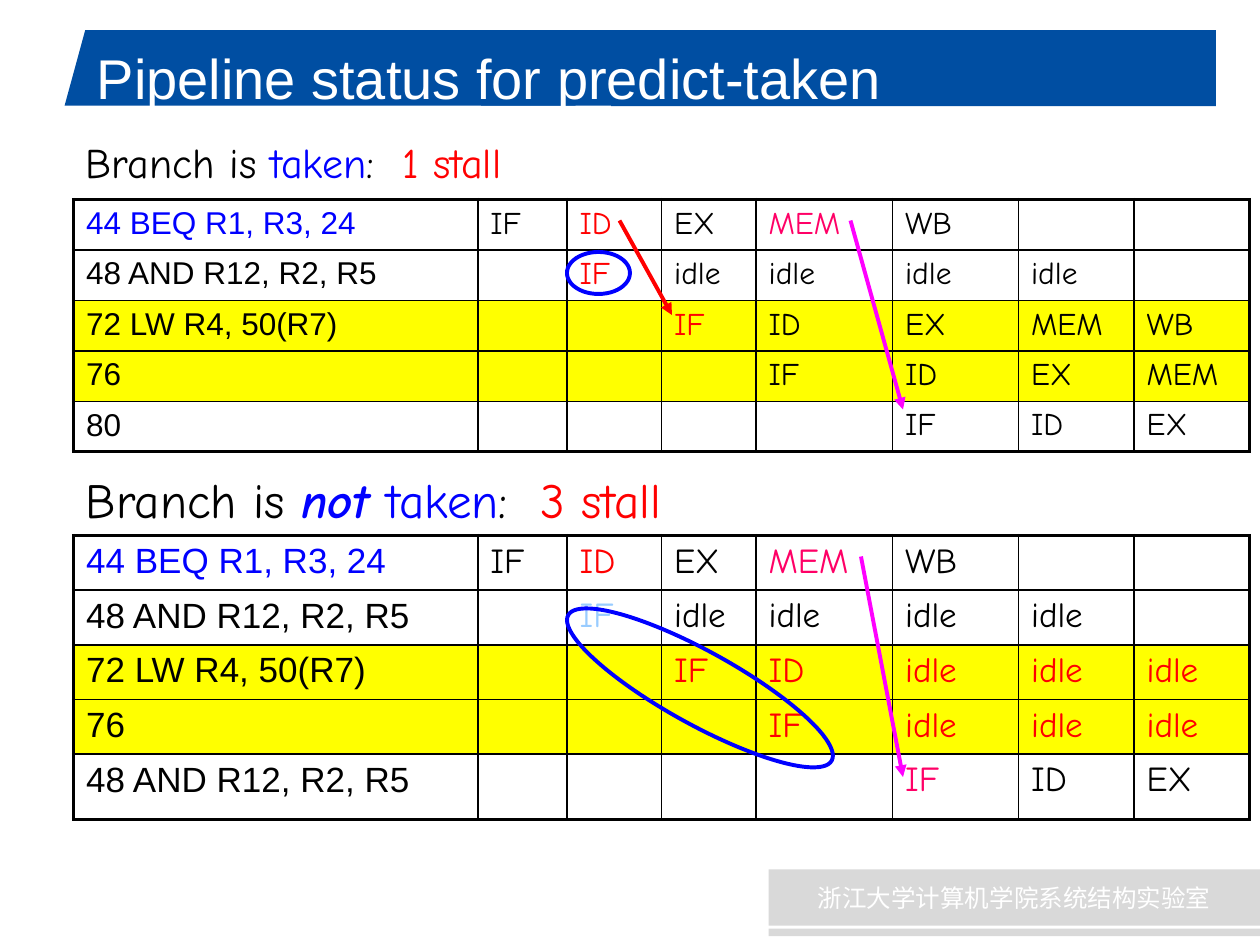
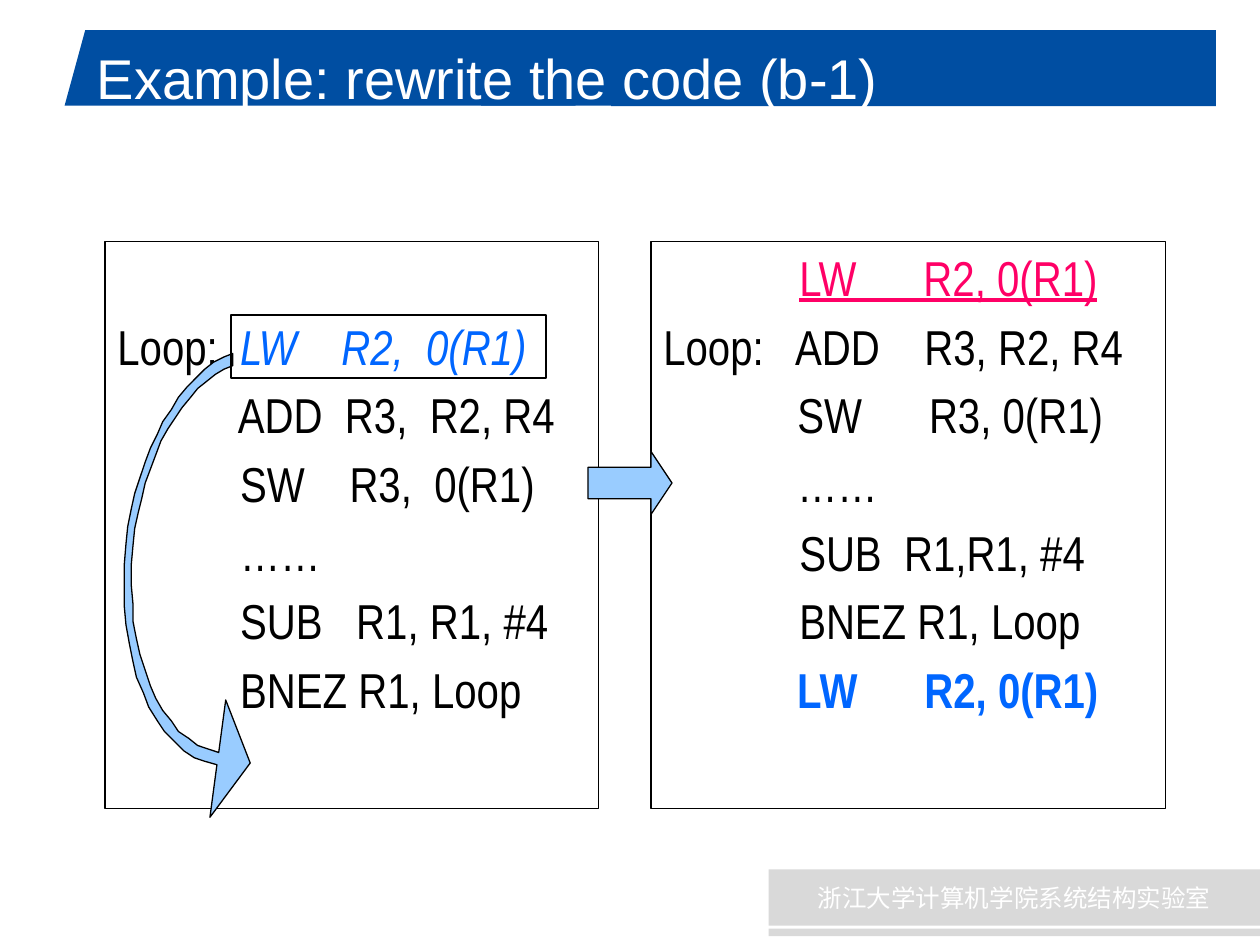
from lxml import etree
from pptx import Presentation
from pptx.dml.color import RGBColor
from pptx.enum.shapes import MSO_CONNECTOR, MSO_SHAPE
from pptx.enum.text import MSO_ANCHOR, PP_ALIGN
from pptx.oxml.ns import qn
from pptx.util import Pt

RECT, TRAPEZOID = MSO_SHAPE.RECTANGLE, MSO_SHAPE.TRAPEZOID
ELLIPSE, RIGHT_ARROW = MSO_SHAPE.OVAL, MSO_SHAPE.RIGHT_ARROW
STRAIGHT = MSO_CONNECTOR.STRAIGHT
MIDDLE, CENTER = MSO_ANCHOR.MIDDLE, PP_ALIGN.CENTER

SANS, NARROW, COMIC, CJK = "Arial", "Arial Narrow", "Comic Neue", "Noto Sans CJK SC"
BLACK, WHITE, BAND, GREY = "000000", "FFFFFF", "004EA2", "D9D9D9"
BLUE, RED, PINK, MAGENTA = "0000FF", "FF0000", "FF0066", "FF00FF"
YELLOW, SKY, CODE_BLUE = "FFFF00", "99CCFF", "0066FF"
STAGE_COLORS = {"": BLACK, "red": RED, "pink": PINK, "sky": SKY}

STAGE_COLUMNS = [231, 51, 54, 54, 78, 72, 66, 66]
YELLOW_ROWS = (2, 3)
BRANCH_ROWS = [("44 BEQ R1, R3, 24", "IF ID:red EX MEM:pink WB - -")]
TAKEN_ROWS = BRANCH_ROWS + [
    ("48 AND R12, R2, R5", "- IF:red idle idle idle idle -"),
    ("72 LW R4, 50(R7)", "- - IF:red ID EX MEM WB"),
    ("76", "- - - IF ID EX MEM"),
    ("80", "- - - - IF ID EX"),
]
NOT_TAKEN_ROWS = BRANCH_ROWS + [
    ("48 AND R12, R2, R5", "- IF:sky idle idle idle idle -"),
    ("72 LW R4, 50(R7)", "- - IF:red ID:red idle:red idle:red idle:red"),
    ("76", "- - - IF:red idle:red idle:red idle:red"),
    ("48 AND R12, R2, R5", "- - - - IF:pink ID EX"),
]

CODE_LINE = 39.1
LOOP_CODE = [
    [("Loop:  ", {}), ("LW    R2,  0(R1)", {"color": CODE_BLUE, "italic": True})],
    [("           ADD  R3,  R2, R4", {})],
    [("           SW    R3,  0(R1)", {})],
    [("           ……", {})],
    [("           SUB   R1, R1, #4", {})],
    [("           BNEZ R1, Loop", {})],
]
WIDE_INDENT = ("          ", {"font": SANS})
REWRITTEN_CODE = [
    [WIDE_INDENT, ("LW      R2, 0(R1)", {"color": PINK, "underline": True})],
    [("Loop:   ADD    R3, R2, R4", {})],
    [("            SW      R3, 0(R1)", {})],
    [("            ……", {})],
    [WIDE_INDENT, ("SUB  R1,R1, #4", {})],
    [WIDE_INDENT, ("BNEZ R1, Loop", {})],
    [("            ", {}), ("LW      R2, 0(R1)", {"color": CODE_BLUE, "bold": True})],
]

# Outline of the bent arrow: one point is a corner, three are a Bézier segment.
BENT_ARROW_START = (125.3, 429.8)
BENT_ARROW = [
    [(91.4, 424.8), (69.8, 372.2), (76.3, 311.8)],
    [(81.4, 261.4), (105.1, 219.6), (133.2, 208.8)],
    [(133.2, 201.6)],
    [(103, 213.1), (77.8, 257.8), (72, 311)],
    [(64.8, 375.8), (87.8, 431.3), (123.8, 437)],
    [(120.2, 466.6)], [(143.3, 436.3)], [(128.9, 400.3)],
]


def rgb(color):
    return RGBColor.from_string(color)


def style(run, size, font=SANS, color=BLACK, bold=False, italic=False, underline=False):
    run.font.size, run.font.name = Pt(size), font
    run.font.bold, run.font.italic, run.font.underline = bold, italic, underline
    run.font.color.rgb = rgb(color)


def write_runs(paragraph, pieces, size, font):
    """Add (text, style overrides) pieces as runs."""
    for text, overrides in pieces:
        run = paragraph.add_run()
        run.text = text
        style(run, size, **{"font": font, **overrides})


def paint(shape, fill=None, line=None, width=0.75):
    shape.shadow.inherit = False
    if fill:
        shape.fill.solid()
        shape.fill.fore_color.rgb = rgb(fill)
    else:
        shape.fill.background()
    if line:
        shape.line.color.rgb = rgb(line)
        shape.line.width = Pt(width)
    else:
        shape.line.fill.background()


def add_figure(slide, kind, box, fill=None, line=None, width=0.75):
    figure = slide.shapes.add_shape(kind, *map(Pt, box))
    paint(figure, fill, line, width)
    return figure


def add_text(slide, box, pieces, size, font):
    frame = slide.shapes.add_textbox(*map(Pt, box)).text_frame
    frame.word_wrap = True
    write_runs(frame.paragraphs[0], pieces, size, font)
    return frame


def add_arrow(slide, start, end, color):
    arrow = slide.shapes.add_connector(STRAIGHT, *map(Pt, start + end))
    arrow.line.color.rgb = rgb(color)
    arrow.line.width = Pt(2.25)
    properties = arrow.element.spPr
    etree.SubElement(properties.find(qn("a:ln")), qn("a:tailEnd"), type="triangle")
    etree.SubElement(properties, qn("a:effectLst"))


def set_borders(cell, widths):
    properties = cell._tc.get_or_add_tcPr()
    for side, width in zip("LRTB", widths):
        line = etree.SubElement(properties, qn(f"a:ln{side}"), w=str(Pt(width)))
        fill = etree.SubElement(line, qn("a:solidFill"))
        etree.SubElement(fill, qn("a:srgbClr"), val=BLACK)


def add_pipeline(slide, top, rows, heights, size):
    """Table of instructions and the stage each one is in per clock cycle."""
    table = slide.shapes.add_table(
        len(rows), len(STAGE_COLUMNS), Pt(42), Pt(top),
        Pt(sum(STAGE_COLUMNS)), Pt(sum(heights))).table
    table.first_row = table.horz_banding = False
    for column, width in zip(table.columns, STAGE_COLUMNS):
        column.width = Pt(width)
    last_row, last_column = len(rows) - 1, len(STAGE_COLUMNS) - 1
    for r, (instruction, stages) in enumerate(rows):
        table.rows[r].height = Pt(heights[r])
        entries = [(instruction, SANS, BLACK if r else BLUE)]
        for stage in stages.split():
            text, _, color = stage.partition(":")
            entries.append((text.strip("-"), COMIC, STAGE_COLORS[color]))
        for c, (text, font, color) in enumerate(entries):
            cell = table.cell(r, c)
            outer = (c == 0, c == last_column, r == 0, r == last_row)
            set_borders(cell, [2.25 if edge else 1 for edge in outer])
            if r in YELLOW_ROWS:
                cell.fill.solid()
                cell.fill.fore_color.rgb = rgb(YELLOW)
            else:
                cell.fill.background()
            if text:
                cell.text_frame.text = text
                style(cell.text_frame.paragraphs[0].runs[0], size, font, color)
            else:
                cell.margin_top = cell.margin_bottom = 0


def add_code_box(slide, box, lines, skipped_lines=0):
    frame = add_figure(slide, RECT, box, line=BLACK).text_frame
    frame.word_wrap = True
    frame.vertical_anchor = MSO_ANCHOR.TOP
    frame.margin_top = Pt(3.6 + skipped_lines * CODE_LINE)
    for i, pieces in enumerate(lines):
        paragraph = frame.add_paragraph() if i else frame.paragraphs[0]
        paragraph.alignment = PP_ALIGN.LEFT
        if i:
            paragraph.space_before = Pt(5.6)
        write_runs(paragraph, pieces, 28, NARROW)


def bezier(start, control_1, control_2, end, steps=16):
    """Points along a cubic curve, without its start."""
    points = []
    for i in range(1, steps + 1):
        t = i / steps
        weights = ((1 - t) ** 3, 3 * t * (1 - t) ** 2, 3 * t * t * (1 - t), t ** 3)
        corners = (start, control_1, control_2, end)
        points.append(tuple(sum(w * p[axis] for w, p in zip(weights, corners))
                            for axis in (0, 1)))
    return points


def add_bent_arrow(slide):
    outline = [BENT_ARROW_START]
    for segment in BENT_ARROW:
        outline += bezier(outline[-1], *segment) if len(segment) == 3 else segment
    builder = slide.shapes.build_freeform(*outline[0], scale=Pt(1))
    builder.add_line_segments(outline[1:], close=True)
    paint(builder.convert_to_shape(), SKY, BLACK)


def add_base_slide(deck, title):
    """Slide with the title band and the laboratory footer."""
    slide = deck.slides.add_slide(deck.slide_layouts[6])
    slant = add_figure(slide, TRAPEZOID, (36.9, 17.2, 292, 43.2), BAND)
    slant.adjustments[0] = 0.273
    add_figure(slide, RECT, (275, 17.2, 419.9, 43.2), BAND)
    add_figure(slide, RECT, (349.3, 57, 345.6, 3.6), BAND)

    footer = add_figure(slide, RECT, (439.2, 496.8, 280.8, 32.2), GREY).text_frame
    footer.text = "浙江大学计算机学院系统结构实验室"
    footer.vertical_anchor = MIDDLE
    laboratory = footer.paragraphs[0]
    laboratory.alignment = CENTER
    style(laboratory.runs[0], 14, CJK, WHITE)
    etree.SubElement(laboratory.runs[0]._r.get_or_add_rPr(), qn("a:ea"), typeface=CJK)
    add_figure(slide, RECT, (439.2, 530.7, 280.8, 4.3), GREY)

    heading = add_text(slide, (48.2, 18, 598.3, 72), [(title, {"color": WHITE})], 32, SANS)
    heading.margin_top = Pt(7)
    return slide


def build_pipeline_slide(deck):
    slide = add_base_slide(deck, "Pipeline status for predict-taken")
    taken = add_text(slide, (42, 78, 672, 30), [
        ("Branch is ", {}), ("taken", {"color": BLUE}), (":  ", {}),
        ("1 stall", {"color": RED})], 24, COMIC)
    taken.paragraphs[0].line_spacing = 0.9
    add_pipeline(slide, 114, TAKEN_ROWS, [28] * 5, 18)

    add_text(slide, (42, 265, 450, 41), [
        ("Branch is ", {}), ("not ", {"color": BLUE, "bold": True, "italic": True}),
        ("taken", {"color": BLUE}), (":  ", {}), ("3 stall", {"color": RED})], 28, COMIC)
    add_pipeline(slide, 306, NOT_TAKEN_ROWS, [31.2] * 4 + [37.4], 20)

    add_arrow(slide, (354, 126), (384, 180), RED)
    add_arrow(slide, (486, 126), (516, 234), MAGENTA)
    add_arrow(slide, (492, 318), (516, 444), MAGENTA)
    stalled = add_figure(slide, ELLIPSE, (314, 372.2, 172, 41.8), line=BLUE, width=2.25)
    stalled.rotation = 28.9
    add_figure(slide, ELLIPSE, (324, 144, 36, 24), line=BLUE, width=2.25)


def build_rewrite_slide(deck):
    slide = add_base_slide(deck, "Example: rewrite the code (b-1)")
    add_code_box(slide, (60, 138, 282, 324), LOOP_CODE, skipped_lines=1)
    add_code_box(slide, (372, 138, 294, 324), REWRITTEN_CODE)
    rewrite = add_figure(slide, RIGHT_ARROW, (336, 258, 48, 36), SKY, BLACK)
    rewrite.adjustments[1] = 0.333
    add_bent_arrow(slide)
    add_figure(slide, RECT, (132, 180, 180, 36), line=BLACK)


def main():
    deck = Presentation()
    deck.slide_width, deck.slide_height = Pt(720), Pt(540)
    build_pipeline_slide(deck)
    build_rewrite_slide(deck)
    deck.save("out.pptx")


if __name__ == "__main__":
    main()
